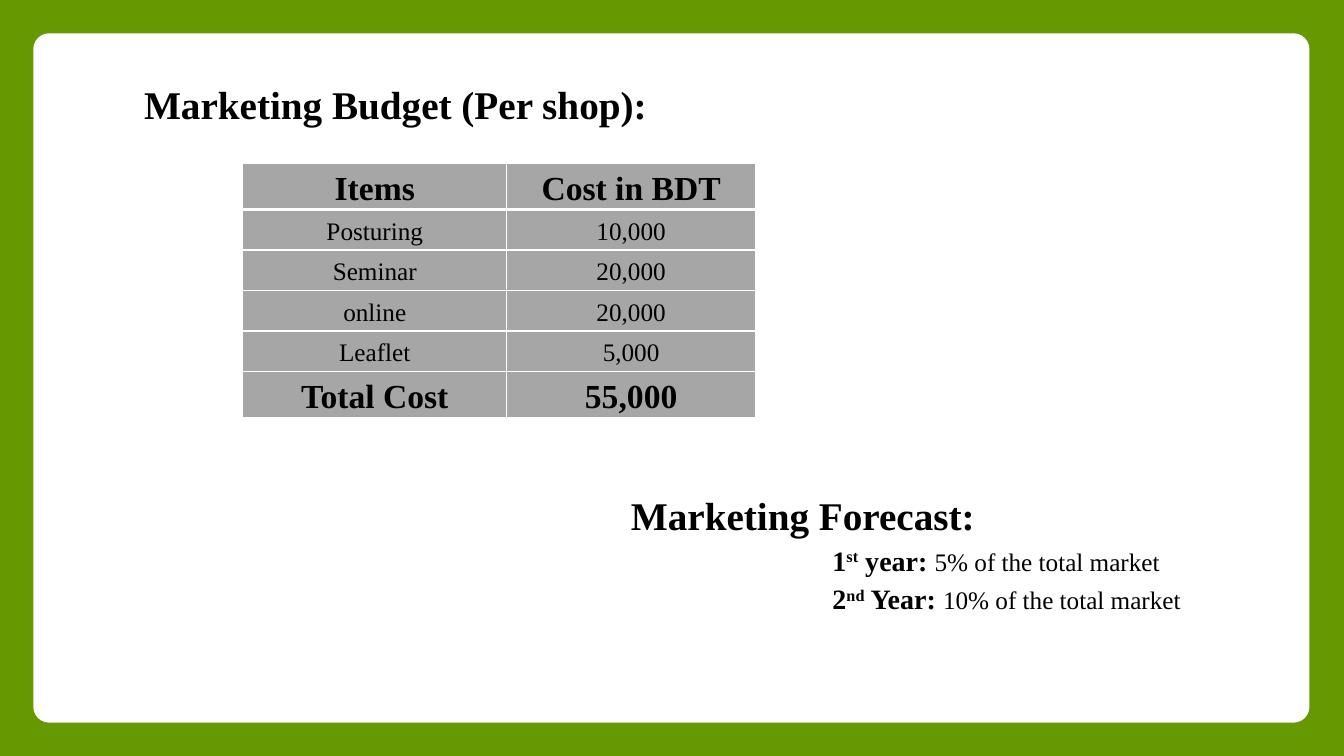
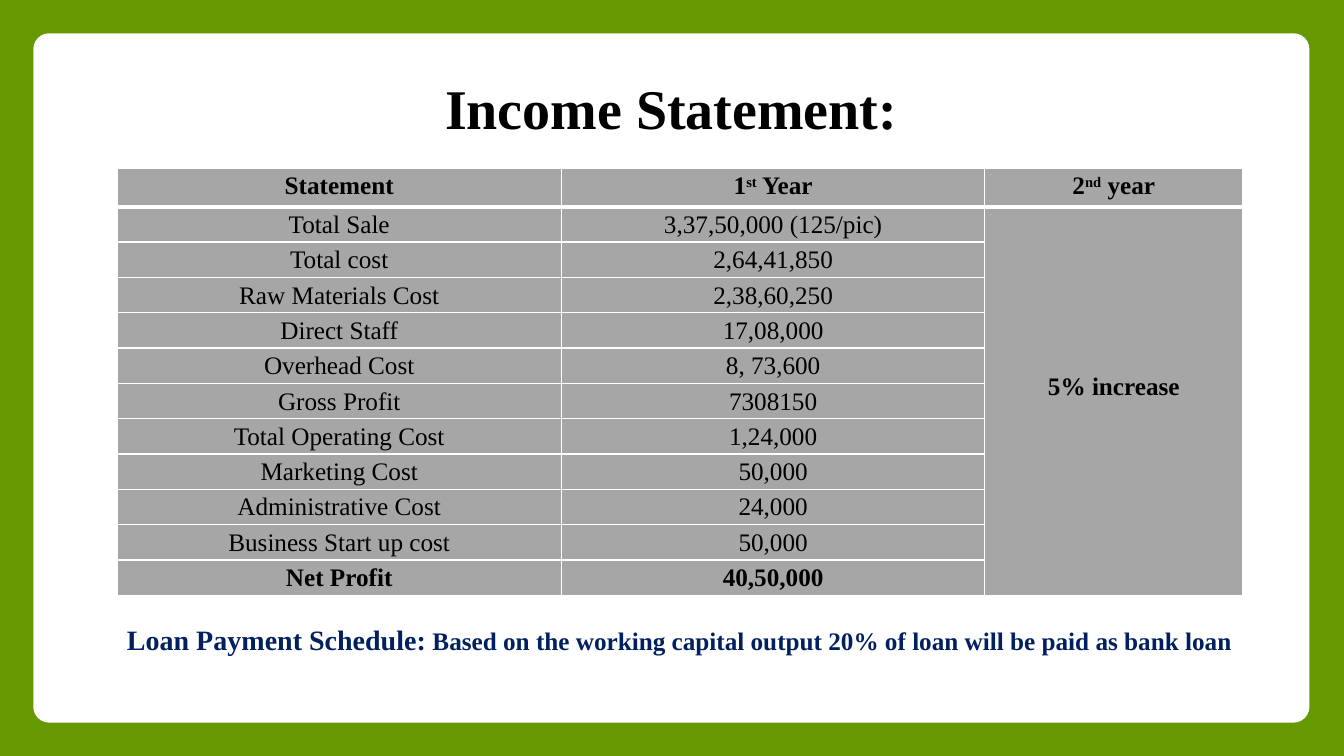
from pptx import Presentation
from pptx.dml.color import RGBColor
from pptx.enum.shapes import MSO_SHAPE
from pptx.enum.text import MSO_ANCHOR, MSO_AUTO_SIZE, PP_ALIGN
from pptx.oxml.ns import qn
from pptx.util import Cm, Pt
from lxml.etree import SubElement

GREEN = RGBColor(0x66, 0x99, 0x00)
WHITE = RGBColor(0xFF, 0xFF, 0xFF)
GRAY = RGBColor(0xA6, 0xA6, 0xA6)
BLACK = RGBColor(0x00, 0x00, 0x00)
NAVY = RGBColor(0x00, 0x20, 0x60)
FONT = "Times New Roman"

LOOSE = {"line_spacing": 1.15}
MID = {"alignment": PP_ALIGN.CENTER, **LOOSE}
FLAT = {"first_row": False, "horz_banding": False}
CELL = {"margin_left": Cm(0.18), "margin_right": Cm(0.18),
        "margin_top": 0, "margin_bottom": 0}
GROW = {"word_wrap": True, "auto_size": MSO_AUTO_SIZE.SHAPE_TO_FIT_TEXT}

BUDGET = [
    ("Items", "Cost in BDT"),
    ("Posturing", "10,000"),
    ("Seminar", "20,000"),
    ("online", "20,000"),
    ("Leaflet", "5,000"),
    ("Total Cost", "55,000"),
]
INCOME = [
    ("Statement", "1^st^ Year", "2^nd^ year"),
    ("Total Sale", "3,37,50,000 (125/pic)"),
    ("Total cost", "2,64,41,850"),
    ("Raw Materials Cost", "2,38,60,250"),
    ("Direct Staff", "17,08,000"),
    ("Overhead Cost", "8, 73,600"),
    ("Gross Profit", "7308150"),
    ("Total Operating Cost", "1,24,000"),
    ("Marketing Cost", "50,000"),
    ("Administrative Cost", "24,000"),
    ("Business Start up cost", "50,000"),
    ("Net Profit", "40,50,000"),
]


def style(item, vals):
    for key, val in vals.items():
        setattr(item, key, val)


def write(para, text, size, bold=True, color=BLACK):
    for i, part in enumerate(text.split("^")):
        run = para.add_run()
        run.text = part
        style(run.font, {"name": FONT, "size": Pt(size), "bold": bold})
        run.font.color.rgb = color
        if i % 2:
            run._r.get_or_add_rPr().set("baseline", "30000")


def add_text(slide, spot, text, size, look, color=BLACK):
    frame = slide.shapes.add_textbox(*map(Cm, spot)).text_frame
    style(frame, GROW)
    para = frame.paragraphs[0]
    style(para, look)
    write(para, text, size, color=color)
    return frame


def add_point(frame, label, text):
    para = frame.add_paragraph()
    style(para, LOOSE)
    para._p.get_or_add_pPr().set("marL", str(Cm(5.08)))
    write(para, label, 20)
    write(para, text, 18, False)


def edge(cell, wide):
    props = cell._tc.get_or_add_tcPr()
    for side in "LRTB":
        line = SubElement(props, qn(f"a:ln{side}"), w=str(Pt(wide.get(side, 1))))
        fill = SubElement(line, qn("a:solidFill"))
        SubElement(fill, qn("a:srgbClr"), val=str(WHITE))


def add_grid(slide, spot, cols, highs, rows, head, anchor):
    size = sum(cols), sum(highs)
    frame = slide.shapes.add_table(len(rows), len(cols), *map(Cm, spot + size))
    table = frame.table
    style(table, FLAT)
    for col, width in zip(table.columns, cols):
        col.width = Cm(width)
    for r, (row, high) in enumerate(zip(table.rows, highs)):
        row.height = Cm(high)
        for cell in row.cells:
            style(cell, {**CELL, "vertical_anchor": anchor})
            edge(cell, {0: {"B": 3}, 1: {"T": 3}}.get(r, {}))
            cell.fill.solid()
            cell.fill.fore_color.rgb = GRAY
        bold = r in (0, len(rows) - 1)
        for c, text in enumerate(rows[r]):
            para = table.cell(r, c).text_frame.paragraphs[0]
            style(para, MID)
            write(para, text, head if bold else 18, bold)
    return table


def set_master(deck, slide):
    master = deck.slide_master
    back = master.background.fill
    back.solid()
    back.fore_color.rgb = GREEN
    panel = slide.shapes.add_shape(
        MSO_SHAPE.ROUNDED_RECTANGLE, *map(Cm, (0.84, 0.84, 32.16, 17.37)))
    panel.adjustments[0] = 0.023
    panel.shadow.inherit = False
    panel.fill.solid()
    panel.fill.fore_color.rgb = WHITE
    panel.line.fill.background()
    master.shapes.element.insert(2, panel.element)


def add_budget(slide):
    add_text(slide, (3.38, 1.9, 13.34, 1.45), "Marketing Budget (Per shop):", 28, {})
    add_grid(slide, (6.12, 4.11), (6.65, 6.27), (1.02,) * 6,
             BUDGET, 24, MSO_ANCHOR.MIDDLE)
    frame = add_text(slide, (15.65, 12.07, 15.24, 3.53),
                     "Marketing Forecast:", 28, LOOSE)
    add_point(frame, "1^st^ year: ", "5% of the total market")
    add_point(frame, "2^nd^ Year: ", "10% of the total market")


def add_income(slide):
    add_text(slide, (9.93, 1.47, 13.97, 2.06), "Income Statement:", 40, MID)
    table = add_grid(slide, (2.95, 4.24), (11.2, 10.67, 6.5),
                     (0.97,) + (0.89,) * 11, INCOME, 18, MSO_ANCHOR.TOP)
    rise = table.cell(1, 2)
    rise.merge(table.cell(11, 2))
    style(rise, {"vertical_anchor": MSO_ANCHOR.MIDDLE, "margin_bottom": Cm(0.8)})
    para = rise.text_frame.paragraphs[0]
    style(para, MID)
    write(para, "5% increase", 18)
    frame = add_text(slide, (2.95, 15.57, 28.6, 1.12),
                     "Loan Payment Schedule:", 20, {}, NAVY)
    write(frame.paragraphs[0],
          " Based on the working capital output 20% of loan will be paid as bank loan",
          18, color=NAVY)


def main():
    deck = Presentation()
    style(deck, {"slide_width": Cm(33.87), "slide_height": Cm(19.05)})
    blank = deck.slide_layouts[6]
    first, second = (deck.slides.add_slide(blank) for _ in range(2))
    set_master(deck, first)
    add_budget(first)
    add_income(second)
    deck.save("out.pptx")


if __name__ == "__main__":
    main()
